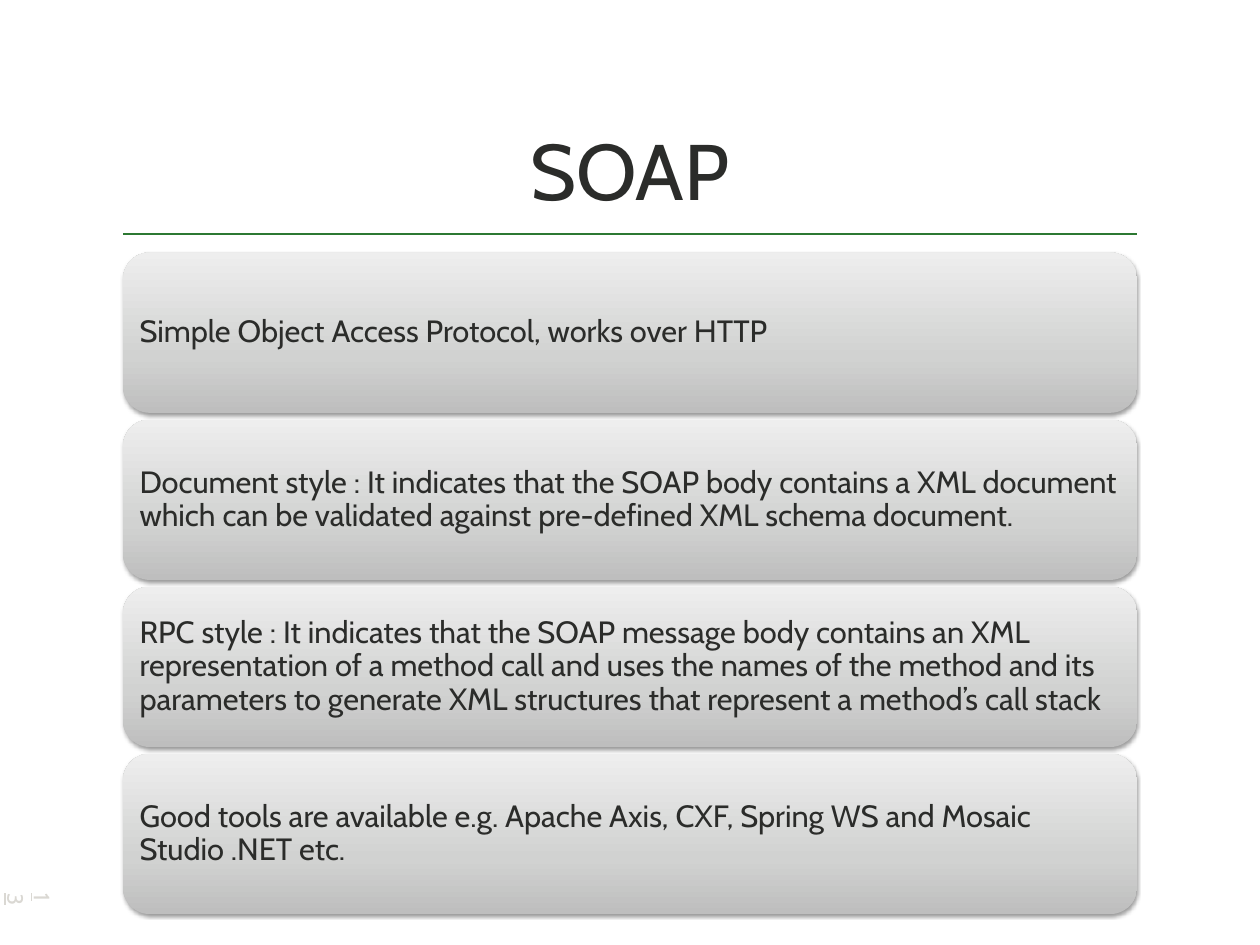
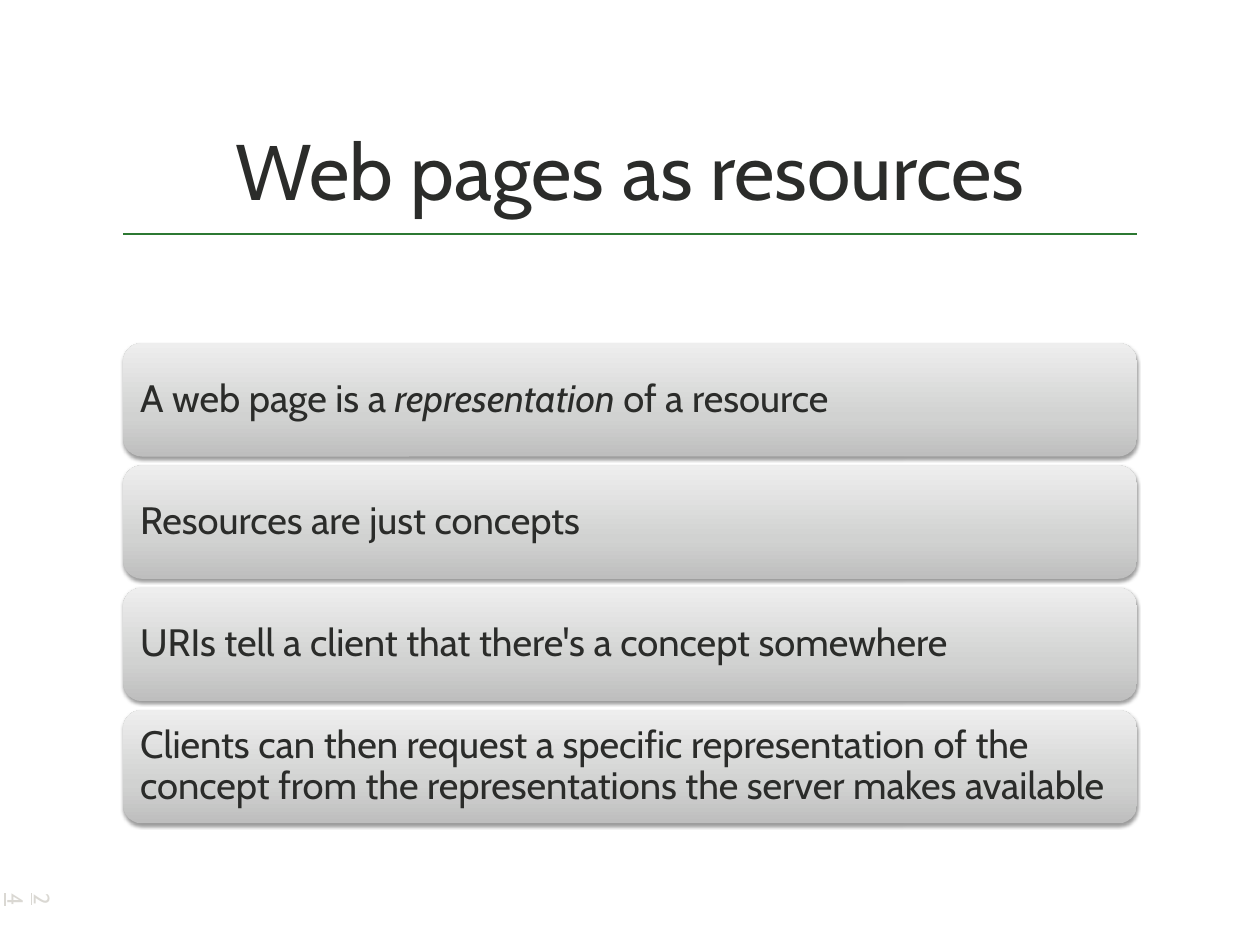
from lxml import etree
from pptx import Presentation
from pptx.dml.color import RGBColor
from pptx.enum.shapes import MSO_CONNECTOR, MSO_SHAPE
from pptx.enum.text import MSO_ANCHOR, MSO_AUTO_SIZE, PP_ALIGN
from pptx.oxml import parse_xml
from pptx.oxml.ns import nsdecls, qn
from pptx.util import Pt

# Words between asterisks are set in italics.
SLIDES = [
    {
        "title": "SOAP", "page": "13",
        "top": 205.2, "high": 130.3, "gap": 5.5, "size": 25, "inset": 7.2,
        "cards": [
            "Simple Object Access Protocol, works over HTTP",
            "Document style : It indicates that the SOAP body contains a XML "
            "document which can be validated against pre-defined XML schema "
            "document.",
            "RPC style : It indicates that the SOAP message body contains an "
            "XML representation of a method call and uses the names of the "
            "method and its parameters to generate XML structures that "
            "represent a method’s call stack",
            "Good tools are available e.g. Apache Axis, CXF, Spring WS and "
            "Mosaic Studio .NET etc.",
        ],
    },
    {
        "title": "Web pages as resources", "page": "24",
        "top": 278.8, "high": 92.2, "gap": 7.2, "size": 31, "inset": 9.4,
        "cards": [
            "A web page is a *representation* of a resource",
            "Resources are just concepts",
            "URIs tell a client that there's a concept somewhere",
            "Clients can then request a specific representation of the "
            "concept from the representations the server makes available",
        ],
    },
]

FONT = "Cabin"
INK = RGBColor(0x2B, 0x2C, 0x2A)
GREEN = RGBColor(0x2C, 0x78, 0x32)
PALE = RGBColor(0xDA, 0xD8, 0xD3)
STOPS = [(0, RGBColor(0xBE, 0xBE, 0xBE)),
         (35, RGBColor(0xD1, 0xD2, 0xD1)),
         (100, RGBColor(0xEE, 0xEE, 0xEE))]

LEFT, WIDE = 100, 824
RULE_Y = 190

STRAIGHT = MSO_CONNECTOR.STRAIGHT
ROUND = MSO_SHAPE.ROUNDED_RECTANGLE
MIDDLE, BOTTOM = MSO_ANCHOR.MIDDLE, MSO_ANCHOR.BOTTOM
CENTER, START = PP_ALIGN.CENTER, PP_ALIGN.LEFT
NO_FIT = MSO_AUTO_SIZE.NONE


def style(run, size, color):
    run.font.name = FONT
    run.font.size = Pt(size)
    run.font.color.rgb = color


def pad(frame, inset):
    frame.margin_left = frame.margin_right = Pt(inset)
    frame.margin_top = frame.margin_bottom = Pt(inset)


def set_up(layout):
    """Give the layout its title place and green rule."""
    title = layout.placeholders[0]
    title.left, title.top = Pt(LEFT), Pt(20)
    title.width, title.height = Pt(WIDE), Pt(160)
    frame = title.text_frame
    frame.auto_size = NO_FIT
    frame.vertical_anchor = BOTTOM
    pad(frame, 4.3)


def add_rule(layout, slide):
    """Draw the rule on a slide, then move it to the layout."""
    rule = slide.shapes.add_connector(
        STRAIGHT, Pt(LEFT), Pt(RULE_Y), Pt(LEFT + WIDE), Pt(RULE_Y))
    rule.line.color.rgb = GREEN
    rule.line.width = Pt(2)
    etree.SubElement(rule._element.spPr, qn("a:effectLst"))
    layout.shapes._spTree.append(rule._element)


def shade(card):
    """Fill a card with the grey blend and add its soft shadow."""
    card.line.fill.background()
    stops = "".join(
        f'<a:gs pos="{pos * 1000}"><a:srgbClr val="{color}"/></a:gs>'
        for pos, color in STOPS)
    blend = parse_xml(
        f'<a:gradFill {nsdecls("a")} rotWithShape="1"><a:gsLst>{stops}'
        '</a:gsLst><a:lin ang="16200000" scaled="0"/></a:gradFill>')
    glow = parse_xml(
        f'<a:effectLst {nsdecls("a")}><a:outerShdw blurRad="{Pt(3.1)}" '
        f'dist="{Pt(1.6)}" dir="5400000" rotWithShape="0">'
        '<a:srgbClr val="000000"><a:alpha val="38000"/></a:srgbClr>'
        '</a:outerShdw></a:effectLst>')
    props = card._element.spPr
    props.find(qn("a:ln")).addprevious(blend)
    props.append(glow)


def add_card(slide, text, top, data):
    card = slide.shapes.add_shape(
        ROUND, Pt(LEFT), Pt(top), Pt(WIDE), Pt(data["high"]))
    shade(card)
    frame = card.text_frame
    frame.word_wrap = True
    frame.vertical_anchor = MIDDLE
    pad(frame, data["inset"])
    para = frame.paragraphs[0]
    para.alignment = START
    para.line_spacing = 0.9
    for i, part in enumerate(text.split("*")):
        run = para.add_run()
        run.text = part
        style(run, data["size"], INK)
        run.font.italic = i % 2 == 1


def add_page(slide, text):
    box = slide.shapes.add_textbox(Pt(20), Pt(720), Pt(30), Pt(28))
    box.rotation = 90
    box.text_frame.word_wrap = False
    box.text_frame.text = text
    run = box.text_frame.paragraphs[0].runs[0]
    style(run, 18, PALE)
    run.font.underline = True


def build(slide, data):
    title = slide.shapes.title.text_frame
    title.text = data["title"]
    para = title.paragraphs[0]
    para.alignment = CENTER
    style(para.runs[0], 64, INK)
    step = data["high"] + data["gap"]
    for i, text in enumerate(data["cards"]):
        add_card(slide, text, data["top"] + i * step, data)
    add_page(slide, data["page"])


def main():
    deck = Presentation()
    deck.slide_width, deck.slide_height = Pt(1024), Pt(768)
    layout = deck.slide_layouts[5]
    set_up(layout)
    slides = [deck.slides.add_slide(layout) for _ in SLIDES]
    add_rule(layout, slides[0])
    for slide, data in zip(slides, SLIDES):
        build(slide, data)
    deck.save("out.pptx")


if __name__ == "__main__":
    main()
